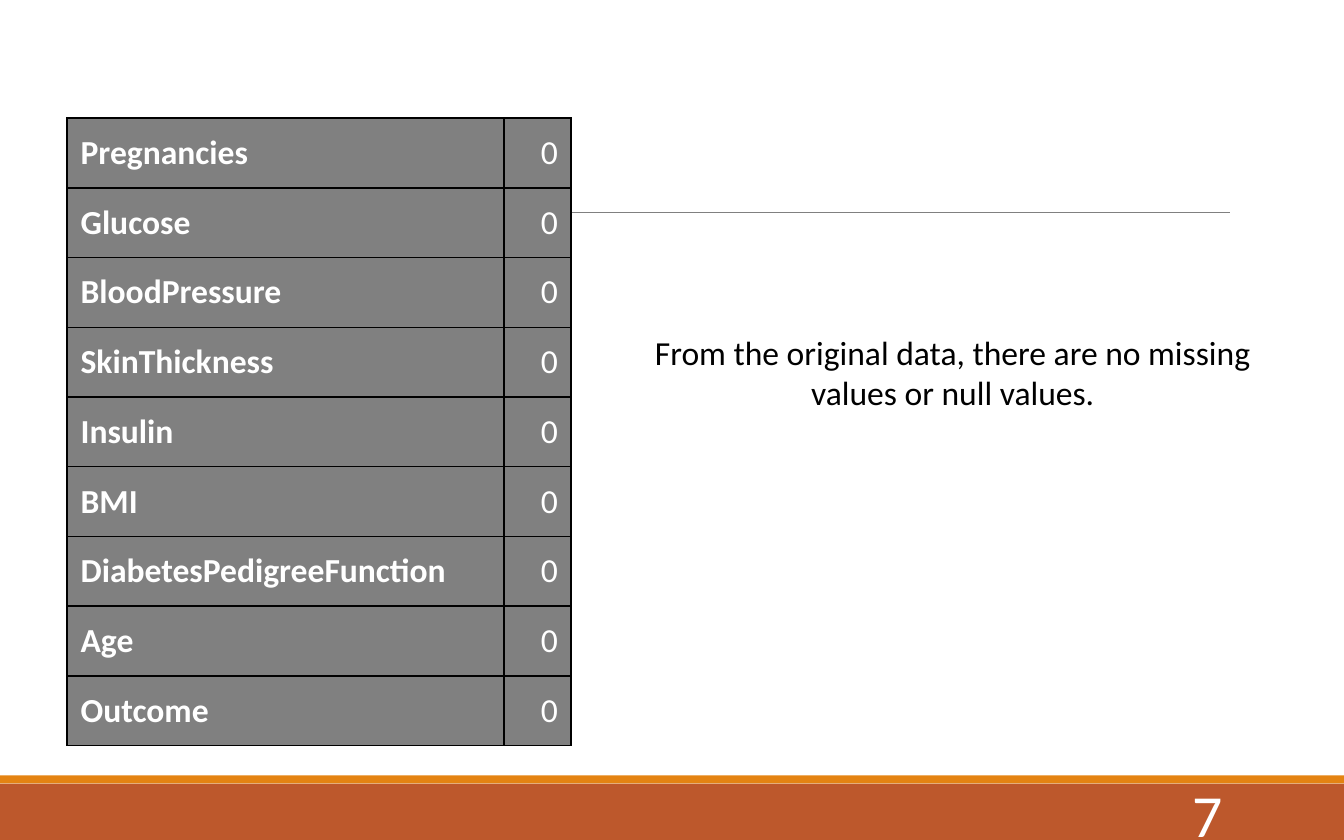
from dataclasses import dataclass

from lxml.etree import SubElement
from pptx import Presentation
from pptx.dml.color import RGBColor
from pptx.enum.shapes import MSO_CONNECTOR, MSO_SHAPE
from pptx.enum.text import MSO_ANCHOR, PP_ALIGN
from pptx.oxml.ns import qn
from pptx.util import Inches, Pt

WIDTH, HEIGHT = 10, 6.25


@dataclass(frozen=True)
class Theme:
    font: str = "Calibri"
    body_size: float = 18
    number_size: float = 32
    footer: str = "BD582C"
    accent: str = "E48312"
    gray: str = "808080"
    light: str = "FFFFFF"
    dark: str = "000000"


THEME = Theme()
FIELDS = ["Pregnancies", "Glucose", "BloodPressure", "SkinThickness", "Insulin",
          "BMI", "DiabetesPedigreeFunction", "Age", "Outcome"]
MISSING_COUNTS = {field: 0 for field in FIELDS}


def color(value):
    return RGBColor.from_string(value)


def write(frame, text, size=THEME.body_size, ink=THEME.dark, bold=False,
          align=PP_ALIGN.LEFT):
    para = frame.paragraphs[0]
    para.alignment = align
    span = para.add_run()
    span.text = text
    span.font.name = THEME.font
    span.font.size = Pt(size)
    span.font.bold = bold
    span.font.color.rgb = color(ink)


def add_band(page, top, height, fill):
    band = page.shapes.add_shape(MSO_SHAPE.RECTANGLE, 0, Inches(top),
                                 Inches(WIDTH), Inches(height))
    band.shadow.inherit = False
    band.fill.solid()
    band.fill.fore_color.rgb = color(fill)
    band.line.fill.background()


def add_rule(page, left, right, top):
    rule = page.shapes.add_connector(MSO_CONNECTOR.STRAIGHT, Inches(left),
                                     Inches(top), Inches(right), Inches(top))
    rule.line.color.rgb = color(THEME.gray)
    rule.line.width = Pt(0.5)
    SubElement(rule.element.spPr, qn("a:effectLst"))


def add_text(page, left, top, width, height, text, anchor=MSO_ANCHOR.TOP,
             **style):
    box = page.shapes.add_textbox(Inches(left), Inches(top), Inches(width),
                                  Inches(height))
    box.text_frame.word_wrap = True
    box.text_frame.vertical_anchor = anchor
    write(box.text_frame, text, **style)


def set_borders(cell):
    properties = cell._tc.get_or_add_tcPr()
    for position, side in enumerate(("lnL", "lnR", "lnT", "lnB")):
        border = SubElement(properties, qn(f"a:{side}"), w=str(Pt(1)))
        fill = SubElement(border, qn("a:solidFill"))
        SubElement(fill, qn("a:srgbClr"), val=THEME.dark)
        properties.insert(position, border)  # borders precede the fill


def fill_cell(cell, text, **style):
    cell.vertical_anchor = MSO_ANCHOR.MIDDLE
    cell.fill.solid()
    cell.fill.fore_color.rgb = color(THEME.gray)
    set_borders(cell)
    write(cell.text_frame, text, ink=THEME.light, **style)


def add_count_table(page, left, top, widths, height, counts):
    table = page.shapes.add_table(len(counts), len(widths), Inches(left),
                                  Inches(top), Inches(sum(widths)),
                                  Inches(height)).table
    table.first_row = table.horz_banding = False
    for column, width in zip(table.columns, widths):
        column.width = Inches(width)
    for row, (field, count) in enumerate(counts.items()):
        fill_cell(table.cell(row, 0), field, bold=True)
        fill_cell(table.cell(row, 1), str(count), align=PP_ALIGN.RIGHT)


def main():
    deck = Presentation()
    deck.slide_width, deck.slide_height = Inches(WIDTH), Inches(HEIGHT)
    page = deck.slides.add_slide(deck.slide_layouts[6])

    # Footer bands and title rule
    footer_top, accent_height = HEIGHT - 0.42, 0.06
    add_band(page, footer_top, HEIGHT - footer_top, THEME.footer)
    add_band(page, footer_top - accent_height, accent_height, THEME.accent)
    add_rule(page, 0.98, 9.15, 1.58)

    # Page number
    add_text(page, 8.12, 5.89, 1.08, 0.33, "7", anchor=MSO_ANCHOR.MIDDLE,
             size=THEME.number_size, ink=THEME.light, align=PP_ALIGN.RIGHT)

    # Missing values per field, with the conclusion beside them
    add_count_table(page, 0.5, 0.88, (3.25, 0.5), 4.67, MISSING_COUNTS)
    add_text(page, 4.53, 2.42, 5.12, 0.71,
             "From the original data, there are no missing values or null values.",
             align=PP_ALIGN.CENTER)

    deck.save("out.pptx")


if __name__ == "__main__":
    main()
